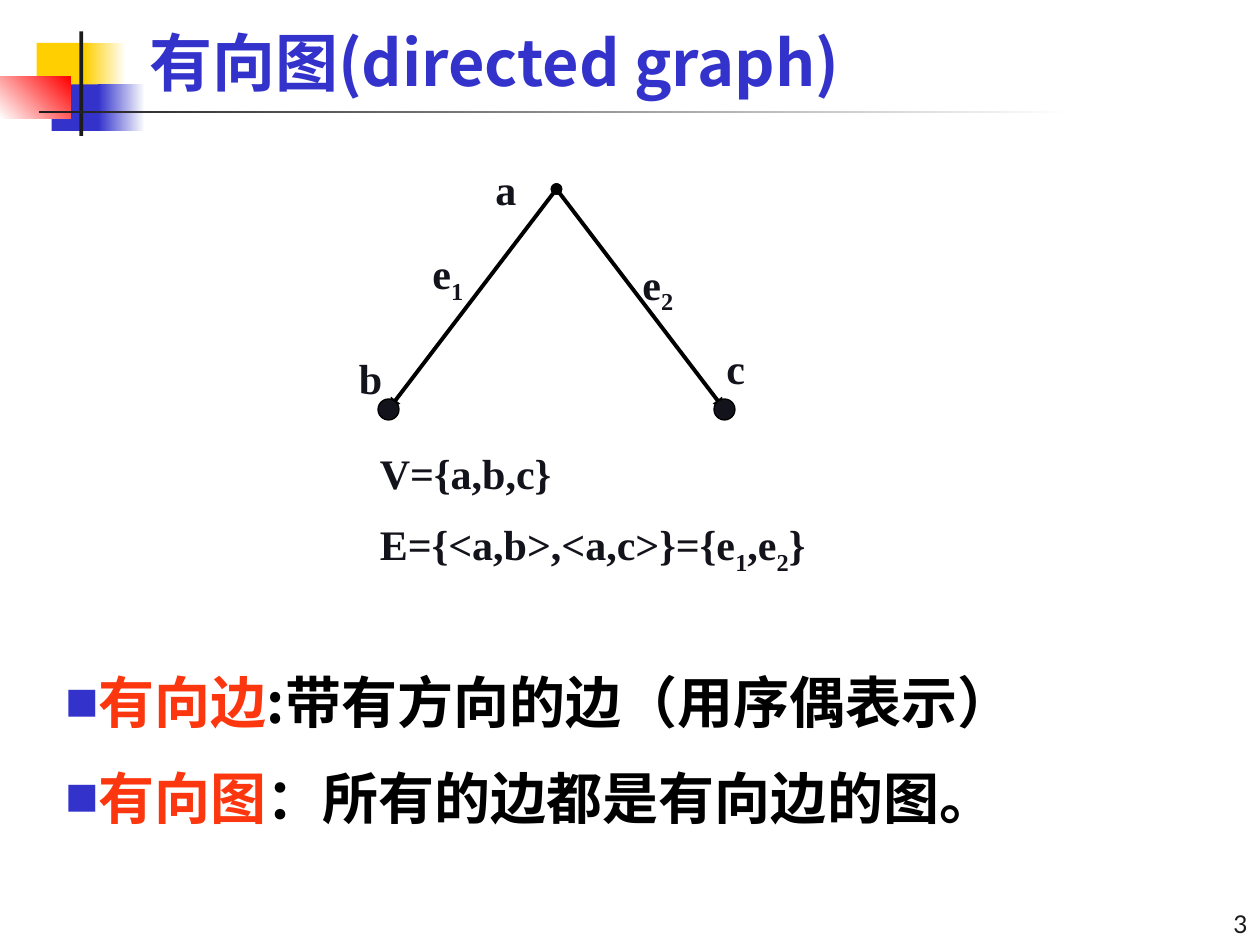
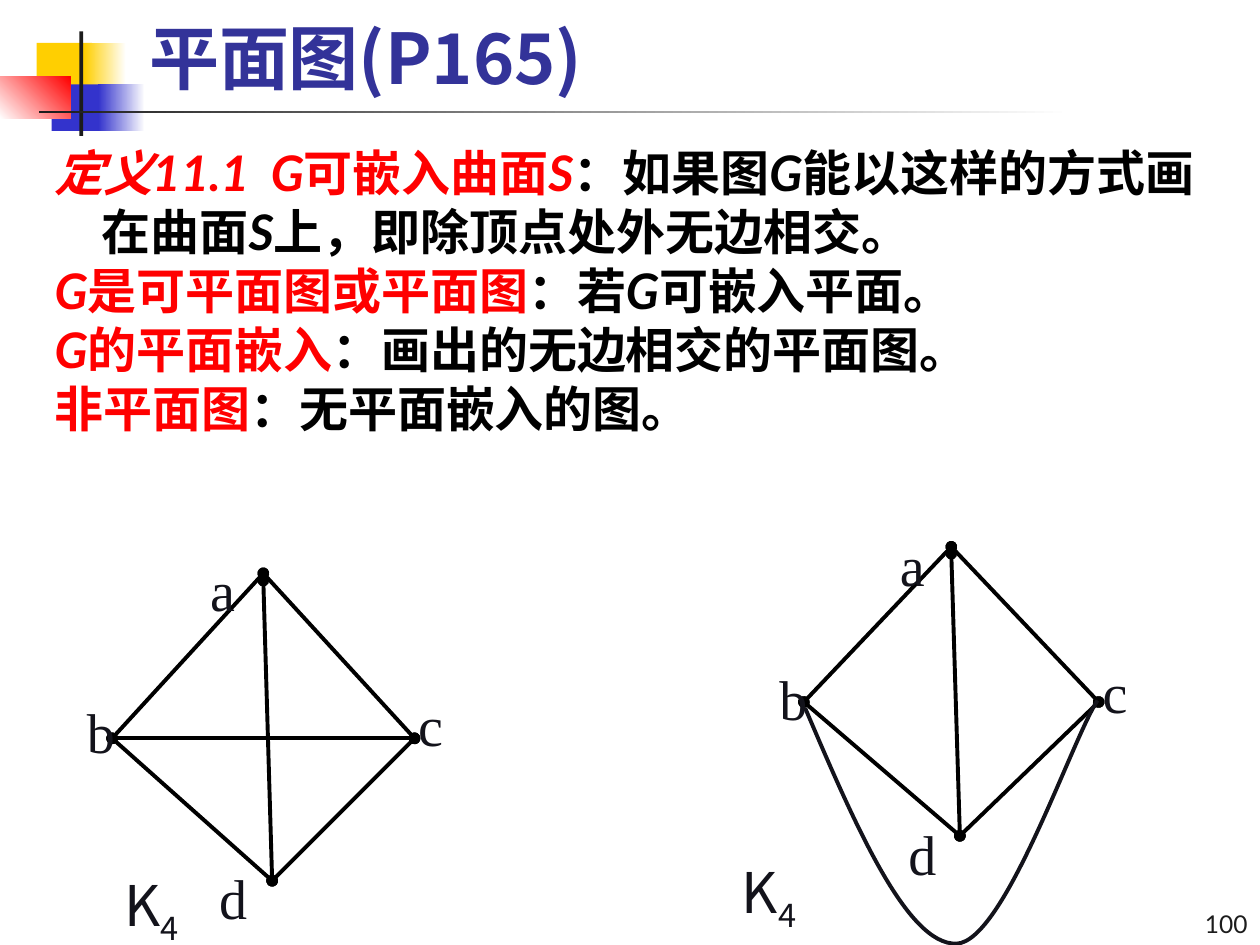
from dataclasses import dataclass
from lxml import etree
from pptx import Presentation
from pptx.dml.color import RGBColor
from pptx.enum.shapes import MSO_CONNECTOR, MSO_SHAPE
from pptx.enum.text import MSO_ANCHOR, MSO_AUTO_SIZE, PP_ALIGN
from pptx.oxml.ns import qn
from pptx.util import Inches, Pt

RECT, OVAL = MSO_SHAPE.RECTANGLE, MSO_SHAPE.OVAL
LINE = MSO_CONNECTOR.STRAIGHT
LEFT, RIGHT = PP_ALIGN.LEFT, PP_ALIGN.RIGHT
TOP, BOTTOM = MSO_ANCHOR.TOP, MSO_ANCHOR.BOTTOM
GROW, FIXED = MSO_AUTO_SIZE.SHAPE_TO_FIT_TEXT, MSO_AUTO_SIZE.NONE
WIDE, HIGH = Inches(10), Inches(7.5)
COLS = 120


@dataclass(frozen=True)
class Theme:
    blue: str = "3333CC"
    navy: str = "333399"
    gold: str = "FFCF01"
    red: str = "FF0000"
    warm: str = "FC360E"
    white: str = "FFFFFF"
    black: str = "000000"
    dark: str = "1C1C1C"
    ink: str = "13131B"
    sans: str = "Lato"
    han: str = "Noto Sans CJK SC"
    serif: str = "Times New Roman"
    page: int = 14
    label: int = 24
    text: int = 28
    large: int = 32
    head: int = 36
    title: int = 40
    stroke: float = 2.25
    thin: float = 0.75


T = Theme()
SUB = {"sub": True}
RED = {"ink": T.red}
SLANT = {"slant": True}


@dataclass(frozen=True)
class Type:
    size: int
    face: str = T.serif
    ink: str = T.ink
    bold: bool = False
    lead: int = 50
    mark: str = ""
    hang: float = 0


LABEL = Type(T.label, bold=True)
NODE = Type(T.large)
NAME = Type(T.large, T.han)
PAGE = Type(T.page, T.sans, T.dark, lead=0)
LIST = Type(T.large, T.han, T.black, True, mark="■")
PROSE = Type(T.text, T.sans, T.black, True, lead=0, hang=4.5)


def unit(num):
    return round(WIDE * num / COLS)


def grid(*nums):
    return [unit(num) for num in nums]


def rgb(code):
    return RGBColor.from_string(code)


def sub(node, tag, **attrs):
    return etree.SubElement(node, qn(tag), attrs)


def format_para(para, kind):
    props = para._p.get_or_add_pPr()
    props.set("marL", str(unit(kind.hang)))
    props.set("indent", str(-unit(kind.hang)))
    sub(sub(props, "a:spcBef"), "a:spcPct", val=str(kind.lead * 1000))
    if kind.mark:
        sub(sub(props, "a:buClr"), "a:srgbClr", val=T.blue)
        sub(props, "a:buSzPct", val="60000")
        sub(props, "a:buFont", typeface=T.han)
        sub(props, "a:buChar", char=kind.mark)
    else:
        sub(props, "a:buNone")


def add_run(para, kind, text, ink=None, slant=False, sub_mark=False):
    run = para.add_run()
    run.text = text
    font = run.font
    font.name, font.size = kind.face, Pt(kind.size)
    font.bold, font.italic = kind.bold, slant
    font.color.rgb = rgb(ink or kind.ink)
    props = run._r.get_or_add_rPr()
    sub(props, "a:ea", typeface=T.sans)
    if sub_mark:
        props.set("baseline", "-25000")


def write(shape, kind, paras, align=LEFT, anchor=TOP, fit=GROW):
    frame = shape.text_frame
    frame.word_wrap = True
    frame.auto_size = fit
    frame.vertical_anchor = anchor
    for num, runs in enumerate(paras):
        para = frame.add_paragraph() if num else frame.paragraphs[0]
        format_para(para, kind)
        para.alignment = align
        for text, style in runs:
            add_run(para, kind, text, style.get("ink"),
                    style.get("slant", False), style.get("sub", False))


def place(shape, box):
    shape.left, shape.top, shape.width, shape.height = grid(*box)
    return shape


def add_text(slide, box, kind, paras, **opts):
    write(slide.shapes.add_textbox(*grid(*box)), kind, paras, **opts)


def add_label(slide, box, kind, text, index=""):
    runs = [(text, {})] + ([(index, SUB)] if index else [])
    add_text(slide, box, kind, [runs])


def add_edge(slide, start, end, tail="oval"):
    edge = slide.shapes.add_connector(LINE, *grid(*start, *end))
    edge.line.color.rgb = rgb(T.black)
    edge.line.width = Pt(T.stroke)
    line = edge.line._get_or_add_ln()
    sub(line, "a:headEnd", type="oval")
    sub(line, "a:tailEnd", type=tail)
    sub(edge._element.spPr, "a:effectLst")


def add_shape(slide, kind, box, color, fade=None, angle=0):
    shape = slide.shapes.add_shape(kind, *grid(*box))
    shape.shadow.inherit = False
    shape.line.fill.background()
    if fade:
        shape.fill.gradient()
        shape.fill.gradient_angle = angle
        for stop, code in zip(shape.fill.gradient_stops, (color, fade)):
            stop.color.rgb = rgb(code)
    else:
        shape.fill.solid()
        shape.fill.fore_color.rgb = rgb(color)
    return shape


def add_node(slide, x, y):
    node = add_shape(slide, OVAL, (x - 1, y - 1, 2, 2), T.ink)
    node.line.color.rgb = rgb(T.black)
    node.line.width = Pt(T.thin)


def add_curve(slide, points):
    first, *rest = [grid(*point) for point in points]
    pen = slide.shapes.build_freeform(*first)
    pen.add_line_segments(rest, close=False)
    curve = pen.convert_to_shape()
    curve.shadow.inherit = False
    curve.fill.background()
    curve.line.color.rgb = rgb(T.ink)
    curve.line.width = Pt(T.stroke)
    steps = list(curve._element.iter(qn("a:lnTo")))
    track = steps[0].getparent()
    for num in range(0, len(steps), 3):
        bend = sub(track, "a:cubicBezTo")
        for step in steps[num:num + 3]:
            bend.append(step[0])
            track.remove(step)


def add_band(slide, layout):
    parts = [
        ((3.48, 4.08, 5.28, 4.56), T.gold),
        ((8.04, 4.08, 3.96, 4.56), T.gold, T.white),
        ((4.92, 8.04, 5.04, 4.44), T.blue),
        ((9.36, 8.04, 4.44, 4.44), T.blue, T.white),
        ((0, 7.32, 6.72, 3.96), T.white, T.red, 45),
        ((7.56, 3, 0.36, 9.96), T.dark),
        ((3.72, 10.56, 98.28, 0.24), T.dark, T.white),
    ]
    for num, part in enumerate(parts):
        node = add_shape(slide, RECT, *part)._element
        node.nvSpPr.cNvPr.set("id", str(100 + num))
        layout.shapes._spTree.append(node)


def add_slide(deck, layout, title, size, ink, page):
    slide = deck.slides.add_slide(layout)
    head = place(slide.shapes.title, (13, 2, 101, 8))
    kind = Type(size, T.han, ink, True, lead=0)
    write(head, kind, [[(title, {})]], anchor=BOTTOM, fit=FIXED)
    add_text(slide, (104, 85, 16, 5), PAGE, [[(page, {})]],
             align=RIGHT, anchor=BOTTOM, fit=FIXED)
    return slide


def add_body(slide, box, kind, paras):
    write(place(slide.placeholders[1], box), kind, paras)


def draw_tree(slide):
    top, left, right = (53, 18), (37, 39), (69, 39)
    for end in (right, left):
        add_edge(slide, top, end, "triangle")
        add_node(slide, *end)
    for x, y, *name in ((46, 15, "a"), (33, 33, "b"), (68, 32, "c"),
                        (40, 23, "e", "1"), (60, 24, "e", "2")):
        add_label(slide, (x, y, 3 + 2 * len(name), 6), LABEL, *name)
    add_text(slide, (35, 42, 44, 13.2), LABEL, [
        [("V={a,b,c}", {})],
        [("E={<a,b>,<a,c>}={e", {}), ("1", SUB), (",e", {}),
         ("2", SUB), ("}", {})],
    ])


def draw_quad(slide, x, y, wide=1, high=1, chord=True):
    def spot(dx, dy):
        return x + dx * wide, y + dy * high

    a, b, c, d = (spot(0, 0), spot(-14.4, 15.72),
                  spot(14.4, 15.72), spot(0.84, 29.28))
    pairs = [(a, c), (b, a), (d, c), (b, d), (spot(0, 0.7), d)]
    for start, end in pairs + ([(b, c)] if chord else []):
        add_edge(slide, start, end)
    for name, dx, dy in (("a", -6.24, -2.28), ("b", -18, -4.44 + 15.72),
                         ("c", 13.56, 10.56), ("d", -5.4, 27)):
        add_label(slide, (*spot(dx, dy), 4.5, 7.6), NODE, name)


def main():
    deck = Presentation()
    deck.slide_width, deck.slide_height = WIDE, HIGH
    layout = deck.slide_layouts[1]

    tree = add_slide(deck, layout, "有向图(directed graph)",
                     T.head, T.blue, "3")
    add_band(tree, layout)
    draw_tree(tree)
    warm = {"ink": T.warm}
    add_body(tree, (5, 63, 109, 17.2), LIST, [
        [("有向边", warm), (":带有方向的边（用序偶表示）", {})],
        [("有向图", warm), ("：所有的边都是有向边的图。", {})],
    ])

    plane = add_slide(deck, layout, "平面图(P165)", T.title, T.navy, "100")
    both = {**RED, **SLANT}
    add_body(plane, (4, 13, 112, 29.3), PROSE, [
        [("定义11.1  G", both), ("可嵌入曲面", RED), ("S", both),
         ("：如果图", {}), ("G", SLANT), ("能以这样的方式画在曲面", {}),
         ("S", SLANT), ("上，即除顶点处外无边相交。", {})],
        [("G", both), ("是可平面图或平面图", RED), ("：若", {}),
         ("G", SLANT), ("可嵌入平面。", {})],
        [("G", both), ("的平面嵌入", RED),
         ("：画出的无边相交的平面图。", {})],
        [("非平面图", RED), ("：无平面嵌入的图。", {})],
    ])
    draw_quad(plane, 25.08, 54.6)
    draw_quad(plane, 90.6, 52.08, 0.975, 0.94, chord=False)
    for x, y in ((10.68, 82.32), (69.48, 81.12)):
        add_label(plane, (x, y, 9, 7.6), NAME, "K", "4")
    add_curve(plane, [(76.68, 67.44), (81.48, 78.72), (86.4, 90),
                      (91.08, 89.88), (95.64, 89.76), (102.12, 70.32),
                      (104.52, 66.72)])
    deck.save("out.pptx")


main()
